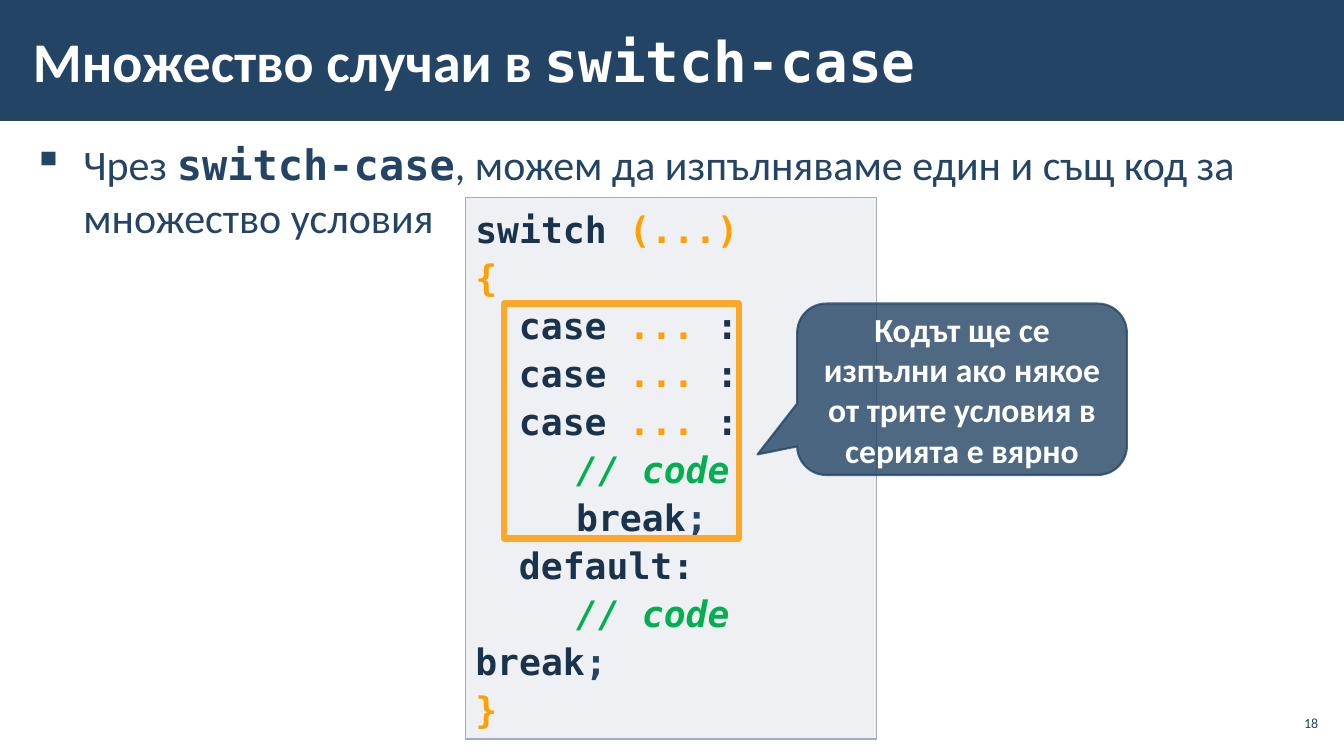
from lxml import etree
from pptx import Presentation
from pptx import util as u
from pptx.dml.color import RGBColor
from pptx.enum import shapes, text
from pptx.oxml.ns import qn

SANS, MONO = "Calibri", "DejaVu Sans Mono"
NAVY, INK, ORANGE, GREEN, WHITE = "234465", "1A334C", "FFA000", "00B050", "FFFFFF"
PAD = (0.3, 0.1, 0.3, 0.1)
BOX_PAD = (0.25, 0.13, 0.25, 0.13)


def color(value):
    """Turn a hex string into a colour."""
    return RGBColor.from_string(value)


def set_alpha(fill, percent):
    """Make a solid fill or line colour partly transparent."""
    for clr in fill.iter(qn("a:srgbClr")):
        etree.SubElement(clr, qn("a:alpha")).set("val", str(percent * 1000))


def add_run(p, words, size, hue, font=SANS, bold=False, italic=False):
    """Add one formatted run to a paragraph."""
    r = p.add_run()
    r.text = words
    f = r.font
    f.name, f.size, f.bold, f.italic = font, u.Pt(size), bold, italic
    f.color.rgb = color(hue)


def set_frame(sp, pad, anchor=text.MSO_ANCHOR.TOP):
    """Set wrapping, insets and anchor, and return the text frame."""
    tf = sp.text_frame
    tf.word_wrap = True
    tf.auto_size = text.MSO_AUTO_SIZE.NONE
    tf.vertical_anchor = anchor
    tf.margin_left, tf.margin_top, tf.margin_right, tf.margin_bottom = map(u.Cm, pad)
    return tf


def add_box(s, kind, box, fill=None, line=None, width=1, fill_alpha=100, line_alpha=100):
    """Add a preset shape with its fill and outline."""
    sp = s.shapes.add_shape(kind, *map(u.Cm, box))
    sp.shadow.inherit = False
    if fill:
        sp.fill.solid()
        sp.fill.fore_color.rgb = color(fill)
        set_alpha(sp.element.spPr.find(qn("a:solidFill")), fill_alpha)
    else:
        sp.fill.background()
    if line:
        sp.line.color.rgb = color(line)
        sp.line.width = u.Pt(width)
        set_alpha(sp.element.spPr.find(qn("a:ln")), line_alpha)
    else:
        sp.line.fill.background()
    return sp


def add_title(s):
    """Place the title on its dark band."""
    sp = s.shapes.title
    band = add_box(s, shapes.MSO_SHAPE.RECTANGLE, (0, 0, 33.87, 3.05), NAVY)
    sp.element.addprevious(band.element)
    sp.left, sp.top, sp.width, sp.height = map(u.Cm, (0.53, 0.28, 26.39, 2.46))
    p = set_frame(sp, PAD, text.MSO_ANCHOR.MIDDLE).paragraphs[0]
    p.alignment = text.PP_ALIGN.LEFT
    add_run(p, "Множество случаи в ", 40, WHITE, bold=True)
    add_run(p, "switch-case", 40, WHITE, MONO, True)


def add_bullet(s):
    """Add the bulleted statement."""
    sp = s.shapes.add_textbox(*map(u.Cm, (0.53, 3.33, 32.82, 14.45)))
    p = set_frame(sp, PAD).paragraphs[0]
    p.line_spacing = 1.05
    p.space_before = p.space_after = u.Pt(6)
    pPr = p._p.get_or_add_pPr()
    pPr.set("marL", str(u.Cm(1.27)))
    pPr.set("indent", str(u.Cm(-1.27)))
    etree.SubElement(pPr, qn("a:buChar")).set("char", "▪")
    add_run(p, "Чрез ", 30, NAVY)
    add_run(p, "switch-case", 30, NAVY, MONO, True)
    add_run(p, ", можем да изпълняваме един и същ код за ", 30, NAVY)
    p.add_line_break()
    add_run(p, "множество условия", 30, NAVY)


def add_code(s):
    """Add the code panel, with each line indented by its level."""
    sp = add_box(s, shapes.MSO_SHAPE.RECTANGLE, (11.73, 4.98, 10.36, 13.64),
                 "C2C7D2", "A3ABBC", fill_alpha=25)
    tf = set_frame(sp, BOX_PAD)
    case = (1.1, [("case ", INK), ("... ", ORANGE), (":", INK)])
    comment = (2.54, [("// code", GREEN)])
    stop = [("break", INK), (";", NAVY)]
    lines = [
        (0, [("switch ", INK), ("(...)", ORANGE)]),
        (0, [("{", ORANGE)]),
        case, case, case,
        comment,
        (2.54, stop),
        (1.1, [("default:", INK)]),
        comment,
        (0, stop),
        (0, [("}", ORANGE)]),
    ]
    for i, (indent, parts) in enumerate(lines):
        p = tf.add_paragraph() if i else tf.paragraphs[0]
        p.alignment = text.PP_ALIGN.LEFT
        p.line_spacing = 1.1
        p._p.get_or_add_pPr().set("marL", str(u.Cm(indent)))
        for words, hue in parts:
            add_run(p, words, 26, hue, MONO, True, hue == GREEN)


def add_callout(s):
    """Add the speech bubble that explains the framed cases."""
    sp = add_box(s, shapes.MSO_SHAPE.ROUNDED_RECTANGULAR_CALLOUT, (20.09, 7.65, 8.31, 4.32),
                 NAVY, NAVY, 1.5, 80, 80)
    for i, value in enumerate((-0.62, 0.38, 0.17)):
        sp.adjustments[i] = value
    p = set_frame(sp, BOX_PAD, text.MSO_ANCHOR.MIDDLE).paragraphs[0]
    p.alignment = text.PP_ALIGN.CENTER
    add_run(p, "Кодът ще се изпълни ако някое от трите условия в серията е вярно",
            24, WHITE, bold=True)


def add_page_number(s):
    """Add the page number in the corner."""
    sp = s.shapes.add_textbox(*map(u.Cm, (32.13, 17.78, 1.19, 0.86)))
    p = set_frame(sp, (0.1,) * 4, text.MSO_ANCHOR.MIDDLE).paragraphs[0]
    p.alignment = text.PP_ALIGN.RIGHT
    add_run(p, "18", 10, NAVY)


def main():
    """Build the slide and save it."""
    prs = Presentation()
    prs.slide_width, prs.slide_height = u.Cm(33.87), u.Cm(19.05)
    s = prs.slides.add_slide(prs.slide_layouts[5])
    add_title(s)
    add_bullet(s)
    add_page_number(s)
    add_code(s)
    add_box(s, shapes.MSO_SHAPE.RECTANGLE, (12.7, 7.65, 5.92, 5.92), line="FFA72A", width=4.5)
    add_callout(s)
    prs.save("out.pptx")


main()
